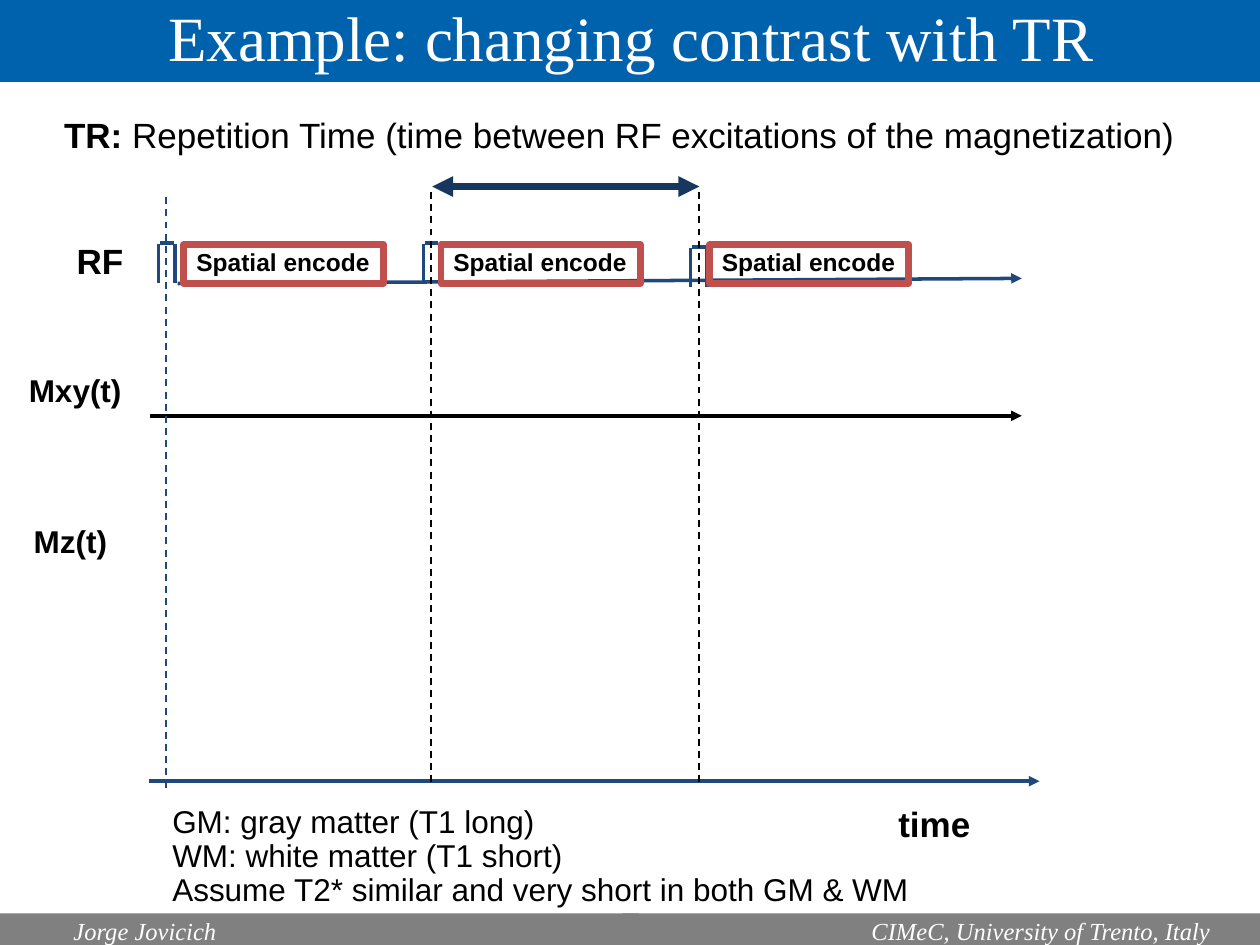
from lxml.etree import SubElement
from pptx import Presentation
from pptx.dml.color import RGBColor
from pptx.enum.dml import MSO_LINE
from pptx.enum.shapes import MSO_CONNECTOR, MSO_SHAPE
from pptx.enum.text import MSO_ANCHOR, PP_ALIGN
from pptx.oxml.ns import qn
from pptx.util import Pt

COLORS = {
    "black": "000000", "white": "FFFFFF", "blue": "1F497D", "navy": "17375E",
    "red": "C0504D", "banner": "0062AC", "footer": "808080",
}

LABELS = [
    ((36.7, 136.1, 41, 28.8), 20, True, ["RF"]),
    ((9.4, 211, 67.7, 26.6), 18, True, ["Mxy(t)"]),
    ((12.2, 297.4, 56.9, 26.6), 18, True, ["Mz(t)"]),
    ((506.2, 457.9, 64.1, 33.1), 20, True, ["time"]),
    ((29.5, 64.1, 653.8, 28.8), 20, False,
     ["TR: Repetition Time (time between RF excitations of the magnetization)"]),
    ((91.4, 457.2, 439.2, 66.2), 18, False,
     ["GM: gray matter (T1 long)", "WM: white matter (T1 short)",
      "Assume T2* similar and very short in both GM & WM"]),
]
BOLD_LEAD = "TR: "

AXES = [
    ((101.5, 162), (583.9, 159.1), "blue"),
    ((85.7, 237.6), (583.9, 237.6), "black"),
    ((85, 446.4), (594, 446.4), "blue"),
]
PULSES = [(90.7, 139.7), (241.9, 139.7), (394.6, 141.9)]
PULSE_WIDTH, PULSE_HEIGHT = 9.4, 22
EXCITATIONS = [(95, 450, 112.3, "blue"), (246.2, 447.1, 109.4, "black"),
               (399.6, 447.1, 109.4, "black")]
ENCODE_LEFTS = [105.1, 252, 405.4]
ENCODE_TOP, ENCODE_WIDTH, ENCODE_HEIGHT = 139.7, 113.8, 22.3

BANNERS = [
    ((0, -5.8, 721.4, 52.6), "banner", "Example: changing contrast with TR",
     36, False, PP_ALIGN.CENTER, 7.2, 7.2),
    ((0, 522, 365, 19.4), "footer", "Jorge Jovicich",
     14, True, PP_ALIGN.LEFT, 42, 7.2),
    ((355.7, 522, 365, 19.4), "footer", "CIMeC, University of Trento, Italy",
     14, True, PP_ALIGN.RIGHT, 7.2, 29),
]


def color(name):
    return RGBColor.from_string(COLORS[name])


def set_font(run, size, name="Arial", bold=False, italic=False, ink="black"):
    run.font.size = Pt(size)
    run.font.name = name
    run.font.bold = bold
    run.font.italic = italic
    run.font.color.rgb = color(ink)


def add_line(slide, start, end, ink, width=2, dashed=False, arrows=()):
    connector = slide.shapes.add_connector(
        MSO_CONNECTOR.STRAIGHT, *(Pt(value) for value in (*start, *end)))
    connector.line.color.rgb = color(ink)
    connector.line.width = Pt(width)
    if dashed:
        connector.line.dash_style = MSO_LINE.DASH
    for arrow in arrows:
        SubElement(connector.line._get_or_add_ln(), qn(f"a:{arrow}"), type="triangle")
    SubElement(connector._element.spPr, qn("a:effectLst"))


def add_rectangle(slide, box):
    shape = slide.shapes.add_shape(MSO_SHAPE.RECTANGLE, *(Pt(value) for value in box))
    shape.shadow.inherit = False
    return shape


def add_label(slide, box, size, bold, lines):
    text_frame = slide.shapes.add_textbox(*(Pt(value) for value in box)).text_frame
    text_frame.word_wrap = False
    text_frame.text = "\n".join(lines)
    for paragraph in text_frame.paragraphs:
        paragraph.line_spacing = 0.9
        if paragraph.text.startswith(BOLD_LEAD):
            rest = paragraph.text.removeprefix(BOLD_LEAD)
            paragraph.runs[0].text = BOLD_LEAD
            paragraph.add_run().text = rest
        for run in paragraph.runs:
            set_font(run, size, bold=bold or run.text == BOLD_LEAD)


def add_pulse(slide, left, top):
    right, bottom = left + PULSE_WIDTH, top + PULSE_HEIGHT
    for x in (left, right):
        add_line(slide, (x, bottom), (x, top), "blue")
    add_line(slide, (left + 0.8, top - 0.7), (right - 0.8, top - 0.7), "blue")


def add_encode_box(slide, left):
    shape = add_rectangle(slide, (left, ENCODE_TOP, ENCODE_WIDTH, ENCODE_HEIGHT))
    shape.fill.background()
    shape.line.color.rgb = color("red")
    shape.line.width = Pt(4)
    text_frame = shape.text_frame
    text_frame.word_wrap = False
    text_frame.vertical_anchor = MSO_ANCHOR.TOP
    text_frame.text = "Spatial encode"
    paragraph = text_frame.paragraphs[0]
    paragraph.alignment = PP_ALIGN.LEFT
    paragraph.line_spacing = 0.9
    set_font(paragraph.runs[0], 14, bold=True)


def add_banner(slide, box, fill, text, size, italic, alignment, left, right):
    shape = add_rectangle(slide, box)
    shape.fill.solid()
    shape.fill.fore_color.rgb = color(fill)
    shape.line.fill.background()
    text_frame = shape.text_frame
    text_frame.margin_left, text_frame.margin_right = Pt(left), Pt(right)
    text_frame.vertical_anchor = MSO_ANCHOR.MIDDLE
    text_frame.text = text
    paragraph = text_frame.paragraphs[0]
    paragraph.alignment = alignment
    set_font(paragraph.runs[0], size, "Times New Roman", italic=italic, ink="white")


def main():
    presentation = Presentation()
    presentation.slide_width, presentation.slide_height = Pt(720), Pt(540)
    slide = presentation.slides.add_slide(presentation.slide_layouts[6])
    for start, end, ink in AXES:
        add_line(slide, start, end, ink, arrows=["tailEnd"])
    for left, top in PULSES:
        add_pulse(slide, left, top)
    for x, bottom, top, ink in EXCITATIONS:
        add_line(slide, (x, bottom), (x, top), ink, width=1, dashed=True)
    add_line(slide, (247, 106.6), (399.6, 106.6), "navy", width=4,
             arrows=["headEnd", "tailEnd"])
    for label in LABELS:
        add_label(slide, *label)
    for left in ENCODE_LEFTS:
        add_encode_box(slide, left)
    for banner in BANNERS:
        add_banner(slide, *banner)
    presentation.save("out.pptx")


if __name__ == "__main__":
    main()
